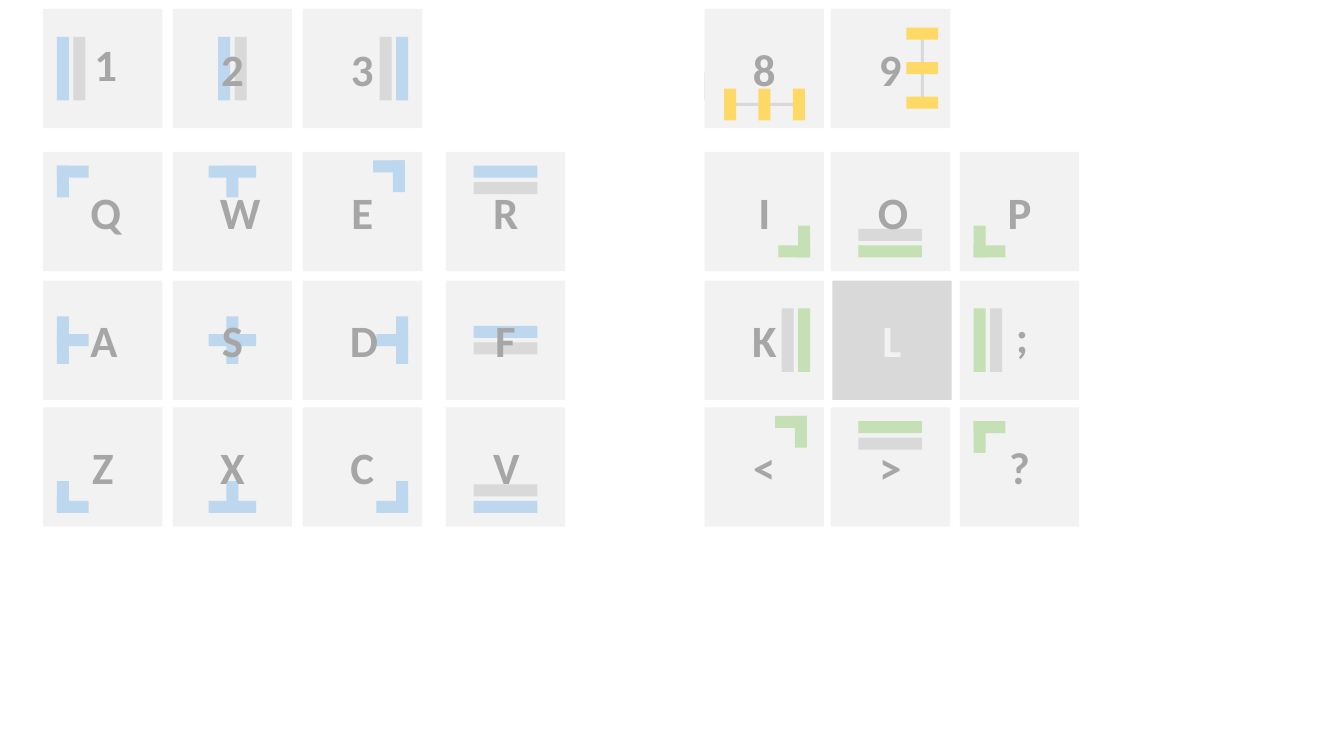
import pptx
import pptx.dml.color
import pptx.enum.shapes
import pptx.enum.text
import pptx.util

COLOURS = {
    "key": "F2F2F2", "grey": "D9D9D9", "label": "A6A6A6",
    "blue": "BDD7EE", "green": "C5E0B4", "yellow": "FFD966",
}

# Key grid, in points
COLUMNS = [30.9, 123.4, 216.2, 318.5, 503.3, 593.3, 685.6]
ROWS = [6.4, 108.5, 200.4, 291]
SIDE = 85.2

# Marks inside a key, in points
INSET, THICK, PITCH = 9.8, 8.6, 11.8
SHORT, MEDIUM, LONG = 22.7, 34, 45.4
TRACK, TRACK_WIDTH, KNOB_PITCH = 49, 2.1, 24.6
LABEL_WIDTH, LABEL_HEIGHT = 32, 46
START, MIDDLE, END = "start", "middle", "end"


def offset(anchor, length):
    """Distance from the key's edge to a mark of the given length."""
    return {START: INSET, MIDDLE: (SIDE - length) / 2, END: SIDE - INSET - length}[anchor]


class Keyboard:
    def __init__(self, page, font="Calibri", size=32):
        self.page, self.font, self.size = page, font, size

    def start_key(self, column, row, shift=0):
        self.group = self.page.shapes.add_group_shape()
        self.left, self.top = COLUMNS[column] + shift, ROWS[row]

    def bar(self, colour, x, y, width, height):
        box = self.group.shapes.add_shape(
            pptx.enum.shapes.MSO_SHAPE.RECTANGLE,
            pptx.util.Pt(self.left + x), pptx.util.Pt(self.top + y),
            pptx.util.Pt(width), pptx.util.Pt(height))
        box.shadow.inherit = False
        box.fill.solid()
        box.fill.fore_color.rgb = pptx.dml.color.RGBColor.from_string(COLOURS[colour])
        box.line.fill.background()

    def bar_along(self, axis, colour, across, along, thickness, length):
        """A bar placed by its distance across and along its own axis."""
        if axis == "vertical":
            self.bar(colour, across, along, thickness, length)
        else:
            self.bar(colour, along, across, length, thickness)

    def label(self, text, colour="label", shift=(0, 0)):
        box = self.group.shapes.add_textbox(
            pptx.util.Pt(self.left + (SIDE - LABEL_WIDTH) / 2 + shift[0]),
            pptx.util.Pt(self.top + (SIDE - LABEL_HEIGHT) / 2 + shift[1]),
            pptx.util.Pt(LABEL_WIDTH), pptx.util.Pt(LABEL_HEIGHT))
        frame = box.text_frame
        frame.word_wrap = False
        frame.auto_size = pptx.enum.text.MSO_AUTO_SIZE.SHAPE_TO_FIT_TEXT
        para = frame.paragraphs[0]
        para.text = text
        para.alignment = pptx.enum.text.PP_ALIGN.CENTER
        para.font.name, para.font.size = self.font, pptx.util.Pt(self.size)
        para.font.bold = True
        para.font.color.rgb = pptx.dml.color.RGBColor.from_string(COLOURS[colour])

    def pair(self, colour, axis, anchor):
        """A coloured bar on the outer side and a grey one next to it."""
        first = offset(anchor, THICK + PITCH if anchor == MIDDLE else THICK)
        step = -PITCH if anchor == END else PITCH
        along = offset(MIDDLE, LONG)
        self.bar_along(axis, colour, first, along, THICK, LONG)
        self.bar_along(axis, "grey", first + step, along, THICK, LONG)

    def arms(self, colour, across, down, shift=(0, 0)):
        """Two crossing bars: a corner, a tee or a plus."""
        height = MEDIUM if down == MIDDLE else SHORT
        width = MEDIUM if across == MIDDLE else SHORT
        x, y = shift
        self.bar(colour, offset(across, THICK) + x, offset(down, height) + y, THICK, height)
        self.bar(colour, offset(across, width) + x, offset(down, THICK) + y, width, THICK)

    def slider(self, colour, axis, across, first):
        """Three knobs spaced evenly on a thin track."""
        self.bar_along(axis, "grey", across + (SHORT - TRACK_WIDTH) / 2,
                       offset(MIDDLE, TRACK), TRACK_WIDTH, TRACK)
        for index in range(3):
            self.bar_along(axis, colour, across, first + index * KNOB_PITCH, SHORT, THICK)


RAISED = (-2.3, -3.8)

# Label, column, row, kind of mark, its arguments
KEYS = [
    ("1", 0, 0, "pair", ("blue", "vertical", START)),
    ("2", 1, 0, "pair", ("blue", "vertical", MIDDLE)),
    ("3", 2, 0, "pair", ("blue", "vertical", END)),
    ("8", 4, 0, "slider", ("yellow", "horizontal", 56.9, 13.9)),
    ("9", 5, 0, "slider", ("yellow", "vertical", 54.2, 13.4)),
    ("Q", 0, 1, "arms", ("blue", START, START)),
    ("W", 1, 1, "arms", ("blue", MIDDLE, START)),
    ("E", 2, 1, "arms", ("blue", END, START, RAISED)),
    ("R", 3, 1, "pair", ("blue", "horizontal", START)),
    ("I", 4, 1, "arms", ("green", END, END)),
    ("O", 5, 1, "pair", ("green", "horizontal", END)),
    ("P", 6, 1, "arms", ("green", START, END)),
    ("A", 0, 2, "arms", ("blue", START, MIDDLE)),
    ("S", 1, 2, "arms", ("blue", MIDDLE, MIDDLE)),
    ("D", 2, 2, "arms", ("blue", END, MIDDLE)),
    ("F", 3, 2, "pair", ("blue", "horizontal", MIDDLE)),
    ("K", 4, 2, "pair", ("green", "vertical", END)),
    (";", 6, 2, "pair", ("green", "vertical", START)),
    ("Z", 0, 3, "arms", ("blue", START, END)),
    ("X", 1, 3, "arms", ("blue", MIDDLE, END)),
    ("C", 2, 3, "arms", ("blue", END, END)),
    ("V", 3, 3, "pair", ("blue", "horizontal", END)),
    ("<", 4, 3, "arms", ("green", END, START, RAISED)),
    (">", 5, 3, "pair", ("green", "horizontal", START)),
    ("?", 6, 3, "arms", ("green", START, START)),
]
LABEL_SHIFTS = {"1": (2, -3.6), ";": (1.8, -2.9)}


def main():
    deck = pptx.Presentation()
    deck.slide_width, deck.slide_height = pptx.util.Pt(960), pptx.util.Pt(540)
    keyboard = Keyboard(deck.slides.add_slide(deck.slide_layouts[6]))

    # Keys with a mark
    for text, column, row, kind, arguments in KEYS:
        keyboard.start_key(column, row)
        if text == "8":  # grey sliver on the left edge
            keyboard.bar("grey", -0.2, 45.4, 19.4, 20)
        keyboard.bar("key", 0, 0, SIDE, SIDE)
        getattr(keyboard, kind)(*arguments)
        keyboard.label(text, shift=LABEL_SHIFTS.get(text, (0, 0)))

    # Dark key without a mark
    keyboard.start_key(5, 2, shift=1.2)
    keyboard.bar("grey", 0, 0, SIDE, SIDE)
    keyboard.label("L", "key")

    deck.save("out.pptx")


if __name__ == "__main__":
    main()
